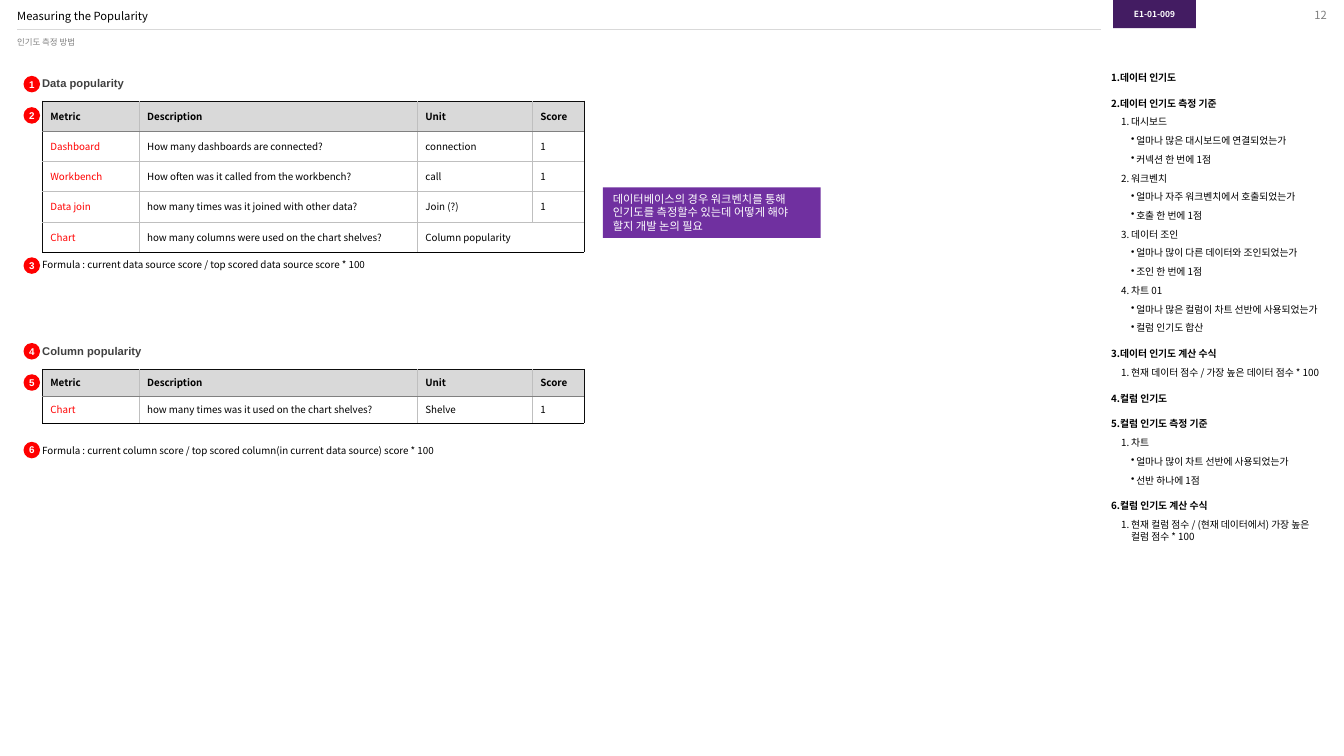
import pptx
import pptx.util
import pptx.dml.color
import pptx.enum.shapes
import pptx.enum.text
import pptx.oxml.ns
import lxml.etree

PX = 9144  # one hundredth of an inch
SANS, HEAD = "Noto Sans CJK KR", "Arial"
COLORS = {
    "black": "000000", "white": "FFFFFF", "gray": "808080", "dark": "404040",
    "rule": "D9D9D9", "grid": "BFBFBF", "edge": "0D0D0D", "red": "FF0000",
    "plum": "431C62", "violet": "7030A0",
}
ALIGN = pptx.enum.text.PP_ALIGN
ANCHOR = pptx.enum.text.MSO_ANCHOR
SHAPE = pptx.enum.shapes.MSO_SHAPE
qn = pptx.oxml.ns.qn


def rgb(name):
    return pptx.dml.color.RGBColor.from_string(COLORS[name])


def style(para, text, size, color="black", bold=False, face=SANS, align=None):
    """Fill a paragraph with text and set its font, East Asian face included."""
    para.text = text
    para.alignment = align
    font = para.font
    font.size, font.bold = pptx.util.Pt(size), bold
    font.color.rgb, font.name = rgb(color), face
    base = para._p.pPr.find(qn("a:defRPr"))
    lxml.etree.SubElement(base, qn("a:ea")).set("typeface", face)


deck = pptx.Presentation()
deck.slide_width, deck.slide_height = 1333 * PX, 750 * PX
slide = deck.slides.add_slide(deck.slide_layouts[6])
shapes = slide.shapes

rule = shapes.add_connector(
    pptx.enum.shapes.MSO_CONNECTOR.STRAIGHT, 17 * PX, 29 * PX, 1092 * PX, 29 * PX)
rule.line.color.rgb, rule.line.width = rgb("rule"), pptx.util.Pt(0.25)
lxml.etree.SubElement(rule._element.spPr, qn("a:effectLst"))

# Filled shapes: code tag, note and numbered markers
tag = ["E1-01-009"]
note = ["데이터베이스의 경우 워크벤치를 통해", "인기도를 측정할수 있는데 어떻게 해야 할지 개발 논의 필요"]
blocks = [
    (SHAPE.RECTANGLE, (1104, 0, 82, 28), "plum", tag, 6, True, SANS, ALIGN.CENTER),
    (SHAPE.RECTANGLE, (598, 186, 216, 50), "violet", note, 8, False, SANS, ALIGN.LEFT),
]
for num, top in enumerate((76, 107, 256, 341, 372, 439), 1):
    blocks.append((SHAPE.OVAL, (24, top, 15, 15), "red", [str(num)], 7, True, HEAD, ALIGN.CENTER))
for kind, place, fill, lines, size, bold, face, align in blocks:
    shape = shapes.add_shape(kind, *[n * PX for n in place])
    shape.shadow.inherit = False
    shape.fill.solid()
    shape.fill.fore_color.rgb = rgb(fill)
    frame = shape.text_frame
    frame.vertical_anchor = ANCHOR.TOP if lines is note else ANCHOR.MIDDLE
    if kind == SHAPE.OVAL:
        shape.line.color.rgb, shape.line.width = rgb("red"), pptx.util.Pt(1)
        frame.margin_left = frame.margin_right = frame.margin_top = frame.margin_bottom = 0
    else:
        shape.line.fill.background()
    for i, line in enumerate(lines):
        para = frame.add_paragraph() if i else frame.paragraphs[0]
        style(para, line, size, "white", bold, face, align)

# Single-line texts: place, insets (left, top), text, font
texts = [
    ((17, 29, 1075, 28), (0, 8), "인기도 측정 방법", 6, "gray", False, SANS, ALIGN.LEFT),
    ((17, 3, 1075, 25), (0, 0), "Measuring the Popularity", 8, "black", False, SANS, ALIGN.LEFT),
    ((1268, 0, 48, 29), (0, 0), "12", 8, "gray", False, SANS, ALIGN.RIGHT),
    ((32, 71, 104, 24), (10, 5), "Data popularity", 8, "dark", True, HEAD, ALIGN.LEFT),
    ((32, 337, 121, 24), (10, 5), "Column popularity", 8, "dark", True, HEAD, ALIGN.LEFT),
    ((32, 252, 521, 22), (10, 5),
     "Formula : current data source score / top scored data source score * 100",
     7, "black", False, SANS, ALIGN.LEFT),
    ((32, 436, 521, 22), (10, 5),
     "Formula : current column score / top scored column(in current data source) score * 100",
     7, "black", False, SANS, ALIGN.LEFT),
]
for place, (left, top), text, *font in texts:
    frame = shapes.add_textbox(*[n * PX for n in place]).text_frame
    frame.word_wrap = font[3] != HEAD
    frame.margin_left = frame.margin_right = left * PX
    frame.margin_top, frame.margin_bottom = top * PX, (5 * PX if left else 0)
    frame.vertical_anchor = ANCHOR.TOP if top else ANCHOR.MIDDLE
    style(frame.paragraphs[0], text, *font)

# Metric tables: top, row height, rows
header = ("Metric", "Description", "Unit", "Score")
tables = [
    (100, 30, [
        header,
        ("Dashboard", "How many dashboards are connected?", "connection", "1"),
        ("Workbench", "How often was it called from the workbench?", "call", "1"),
        ("Data join", "how many times was it joined with other data?", "Join (?)", "1"),
        ("Chart", "how many columns were used on the chart shelves?", "Column popularity", ""),
    ]),
    (366, 27, [
        header,
        ("Chart", "how many times was it used on the chart shelves?", "Shelve", "1"),
    ]),
]
for top, height, rows in tables:
    last = len(rows) - 1
    table = shapes.add_table(
        len(rows), 4, 42 * PX, top * PX, 537 * PX, len(rows) * height * PX).table
    for col, width in zip(table.columns, (96, 276, 114, 51)):
        col.width = width * PX
    for r, row in enumerate(rows):
        table.rows[r].height = height * PX
        for c, text in enumerate(row):
            cell = table.cell(r, c)
            cell.margin_left = cell.margin_right = 8 * PX
            cell.margin_top = cell.margin_bottom = 5 * PX
            cell.vertical_anchor = ANCHOR.MIDDLE
            wide = c == 2 and not row[3]
            sides = {
                "L": "grid" if c else "edge",
                "R": "edge" if c == 3 or wide else "grid",
                "T": "edge" if r == 0 else "gray" if r == 1 else "grid",
                "B": "gray" if r == 0 else "black" if r == last else "grid",
            }
            for side, color in sides.items():
                line = lxml.etree.SubElement(cell._tc.get_or_add_tcPr(), qn("a:ln" + side))
                line.set("w", str(pptx.util.Pt(0.25)))
                fill = lxml.etree.SubElement(line, qn("a:solidFill"))
                lxml.etree.SubElement(fill, qn("a:srgbClr")).set("val", COLORS[color])
            cell.fill.solid()
            cell.fill.fore_color.rgb = rgb("white" if r else "rule")
            style(cell.text_frame.paragraphs[0], text, 7,
                  "red" if r and c == 0 else "black", r == 0)
        if not row[3]:
            table.cell(r, 2).merge(table.cell(r, 3))

# Side notes: outline level and text
notes = [
    (0, "데이터 인기도"),
    (0, "데이터 인기도 측정 기준"),
    (1, "대시보드"),
    (2, "얼마나 많은 대시보드에 연결되었는가"),
    (2, "커넥션 한 번에 1점"),
    (1, "워크벤치"),
    (2, "얼마나 자주 워크벤치에서 호출되었는가"),
    (2, "호출 한 번에 1점"),
    (1, "데이터 조인"),
    (2, "얼마나 많이 다른 데이터와 조인되었는가"),
    (2, "조인 한 번에 1점"),
    (1, "차트 01"),
    (2, "얼마나 많은 컬럼이 차트 선반에 사용되었는가"),
    (2, "컬럼 인기도 합산"),
    (0, "데이터 인기도 계산 수식"),
    (1, "현재 데이터 점수 / 가장 높은 데이터 점수 * 100"),
    (0, "컬럼 인기도"),
    (0, "컬럼 인기도 측정 기준"),
    (1, "차트"),
    (2, "얼마나 많이 차트 선반에 사용되었는가"),
    (2, "선반 하나에 1점"),
    (0, "컬럼 인기도 계산 수식"),
    (1, "현재 컬럼 점수 / (현재 데이터에서) 가장 높은 컬럼 점수 * 100"),
]
frame = shapes.add_textbox(1102 * PX, 71 * PX, 214 * PX, 679 * PX).text_frame
frame.word_wrap = True
frame.margin_left = frame.margin_right = frame.margin_top = frame.margin_bottom = 0
for i, (level, text) in enumerate(notes):
    para = frame.add_paragraph() if i else frame.paragraphs[0]
    para.level = level
    if i:
        para.space_before = pptx.util.Pt(5 if level else 10)
    left, hang = ((9, 9), (20, 10), (25, 5))[level]
    props = para._p.get_or_add_pPr()
    props.set("marL", str(left * PX))
    props.set("indent", str(-hang * PX))
    if level == 2:
        lxml.etree.SubElement(props, qn("a:buChar")).set("char", "•")
    else:
        lxml.etree.SubElement(props, qn("a:buAutoNum")).set("type", "arabicPeriod")
    style(para, text, 7, bold=level == 0)

deck.save("out.pptx")
